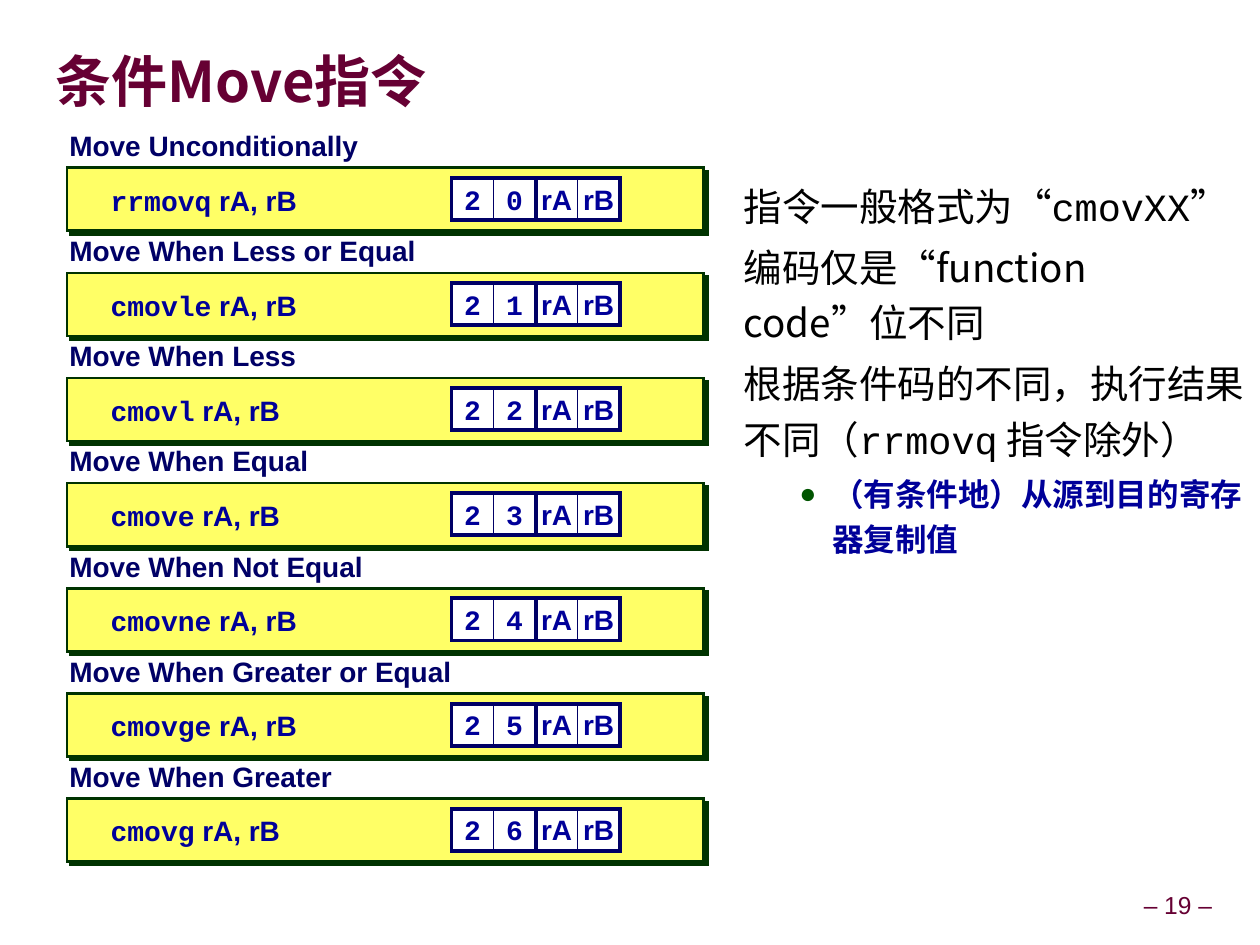
from dataclasses import dataclass
from lxml import etree
from pptx import Presentation
from pptx.dml.color import RGBColor
from pptx.enum.shapes import MSO_SHAPE
from pptx.enum.text import MSO_ANCHOR, PP_ALIGN
from pptx.oxml.ns import qn
from pptx.util import Inches, Pt

RECT = MSO_SHAPE.RECTANGLE
MID, TOP = MSO_ANCHOR.MIDDLE, MSO_ANCHOR.TOP
LEFT, CENTER = PP_ALIGN.LEFT, PP_ALIGN.CENTER

# Content: a tuple in a line marks code
TITLE = "条件Move指令"
PAGE = "– 19 –"
MOVES = [
    ("Move Unconditionally", "rrmovq", 2.42),
    ("Move When Less or Equal", "cmovle", 2.88),
    ("Move When Less", "cmovl", 1.93),
    ("Move When Equal", "cmove", 2.03),
    ("Move When Not Equal", "cmovne", 2.46),
    ("Move When Greater or Equal", "cmovge", 3.16),
    ("Move When Greater", "cmovg", 2.21),
]
NOTES = [
    ["指令一般格式为“", ("cmovXX",), "”"],
    ["编码仅是“function code”位不同"],
    ["根据条件码的不同，执行结果不同（", ("rrmovq",), " 指令除外）"],
]
POINT = "（有条件地）从源到目的寄存器复制值"


@dataclass
class Theme:
    sans: str = "Arial"
    code: str = "Courier New"
    cjk: str = "Noto Sans CJK SC"
    wine: str = "660033"
    navy: str = "000066"
    blue: str = "000099"
    black: str = "000000"
    green: str = "003300"
    dot: str = "005400"
    yellow: str = "FFFF66"
    white: str = "FFFFFF"
    title: int = 32
    body: int = 22
    point: int = 18
    label: int = 16
    page: int = 14


T = Theme()
PITCH = 5 / 6   # from one instruction to the next
CELL = 1 / 3    # side of one code cell

deck = Presentation()
deck.slide_width, deck.slide_height = Inches(9.99), Inches(7.49)
slide = deck.slides.add_slide(deck.slide_layouts[6])


# Helpers
def write(para, parts, size, face, color, bold=False, align=LEFT, space=1.0):
    para.alignment, para.line_spacing = align, space
    font = para.font
    font.size, font.name, font.bold = Pt(size), face, bold
    font.color.rgb = RGBColor.from_string(color)
    base = para._p.pPr.find(qn("a:defRPr"))
    etree.SubElement(base, qn("a:ea"), typeface=T.cjk)
    for part in parts:
        run = para.add_run()
        if isinstance(part, tuple):
            run.text, run.font.name = part[0], T.code
        else:
            run.text = part


def setup(frame, anchor=MID, wrap=False, inset=(0.1, 0.05)):
    frame.word_wrap, frame.vertical_anchor = wrap, anchor
    frame.margin_left = frame.margin_right = Inches(inset[0])
    frame.margin_top = frame.margin_bottom = Inches(inset[1])
    return frame


def text(x, y, w, h, **kind):
    box = slide.shapes.add_textbox(Inches(x), Inches(y), Inches(w), Inches(h))
    return setup(box.text_frame, **kind)


def rect(home, x, y, w, h, fill, line, width):
    box = home.add_shape(RECT, Inches(x), Inches(y), Inches(w), Inches(h))
    box.shadow.inherit = False
    if fill:
        box.fill.solid()
        box.fill.fore_color.rgb = RGBColor.from_string(fill)
    else:
        box.fill.background()
    box.line.color.rgb = RGBColor.from_string(line)
    box.line.width = Pt(width)
    edge = box._element.spPr.find(qn("a:ln"))
    etree.SubElement(edge, qn("a:miter"), lim="800000")
    return box


def shade(box, color):
    effect = box._element.spPr.find(qn("a:effectLst"))
    outer = etree.SubElement(effect, qn("a:outerShdw"), dist=str(Pt(2.8)),
                             dir="2700000", algn="ctr", rotWithShape="0")
    etree.SubElement(outer, qn("a:srgbClr"), val=color)


def pair(x, y, names, face):
    home = slide.shapes.add_group_shape().shapes
    for i, name in enumerate(names):
        box = rect(home, x + i * CELL, y, CELL, CELL, T.white, T.navy, 0.5)
        para = setup(box.text_frame).paragraphs[0]
        write(para, [name], T.label, face, T.blue, True, CENTER)
    rect(home, x, y, 2 * CELL, CELL, None, T.navy, 2.25)


def bullet(para):
    props = para._p.get_or_add_pPr()
    props.set("marL", str(Inches(1.25)))
    props.set("indent", str(Inches(-0.26)))
    color = etree.SubElement(props, qn("a:buClr"))
    etree.SubElement(color, qn("a:srgbClr"), val=T.dot)
    etree.SubElement(props, qn("a:buSzPct"), val="90000")
    etree.SubElement(props, qn("a:buFont"), typeface=T.sans)
    etree.SubElement(props, qn("a:buChar"), char="●")


# Title and page number
head = text(0.44, 0.27, 9.3, 0.81, wrap=True, inset=(0, 0))
write(head.paragraphs[0], [TITLE], T.title, T.cjk, T.wine, True, space=0.87)
foot = text(9.01, 7.03, 0.66, 0.31, inset=(0.05, 0.05))
write(foot.paragraphs[0], [PAGE], T.page, T.sans, T.wine, False, CENTER, 0.9)

# Notes on the right
notes = text(5.25, 1.33, 4.74, 5.7, anchor=TOP, wrap=True)
for i, parts in enumerate(NOTES):
    para = notes.add_paragraph() if i else notes.paragraphs[0]
    para._p.get_or_add_pPr().set("marL", str(Inches(0.55)))
    para.space_before = Pt(3 if i else 0)
    write(para, parts, T.body, T.cjk, T.black, space=1.2)
para = notes.add_paragraph()
bullet(para)
para.space_before = Pt(3)
write(para, [POINT], T.point, T.sans, T.blue, True, space=1.2)

# Instructions on the left
for i, (label, name, width) in enumerate(MOVES):
    y = 1 + i * PITCH
    bar = rect(slide.shapes, 0.53, y + 0.33, 5.05, 0.5, T.yellow, T.green, 1.5)
    shade(bar, T.green)
    code = text(0.78, y + 0.42, 2.2, 0.33, wrap=True)
    write(code.paragraphs[0], [(name,), " rA, rB"],
          T.label, T.sans, T.blue, True)
    cap = text(0.5, y, width, 0.34, anchor=TOP, inset=(0.05, 0.05))
    write(cap.paragraphs[0], [label], T.label, T.sans, T.navy, True, space=0.9)
    pair(3.58, y + 0.41, ["2", str(i)], T.code)
    pair(3.58 + 2 * CELL, y + 0.41, ["rA", "rB"], T.sans)

deck.save("out.pptx")
